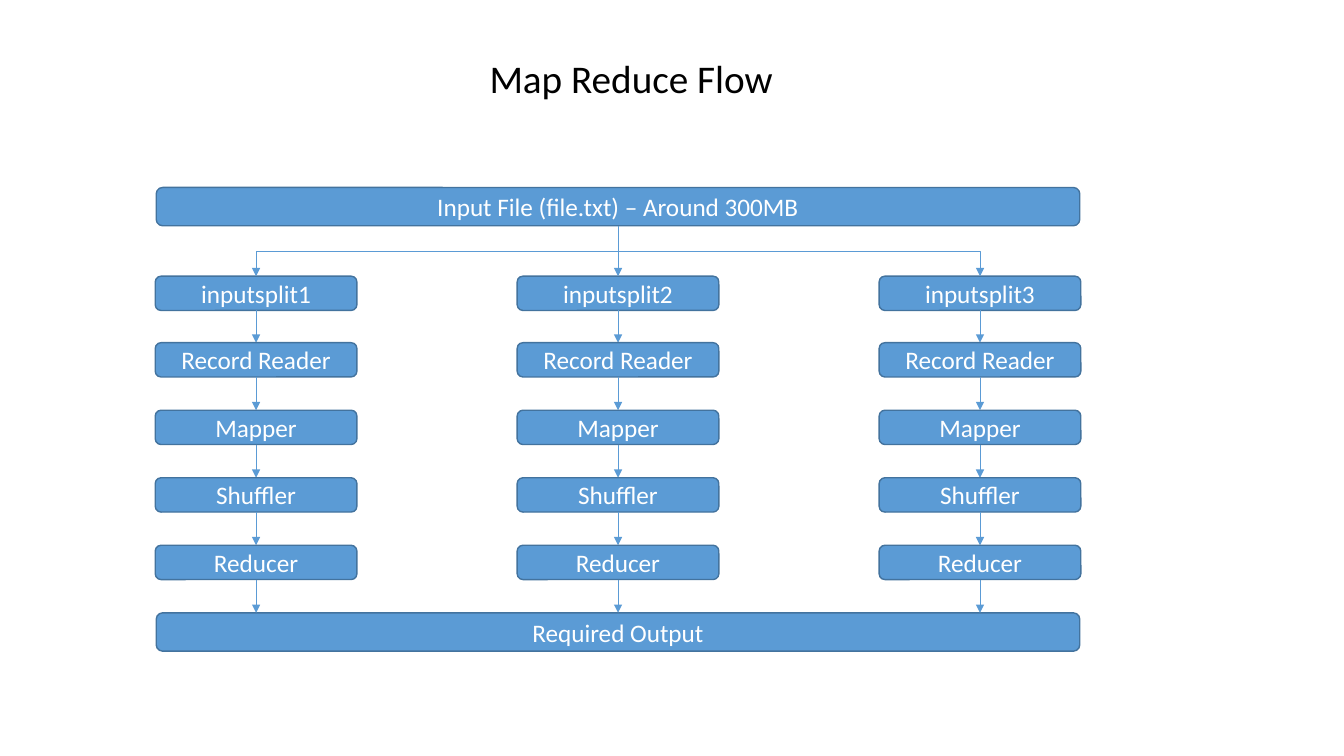
"""Build the Map Reduce flow slide."""
import pptx
import pptx.dml.color
import pptx.enum.shapes
import pptx.enum.text
import pptx.oxml
import pptx.oxml.ns
import pptx.util

PX = 9144
BLUE, EDGE, WHITE, BLACK = "5B9BD5", "43739E", "FFFFFF", "000000"
LEFT, STEP, WIDE, HIGH = 154, 359, 200, 34
ROWS = (274, 340, 407, 474, 541)
STAGES = ("inputsplit{}", "Record Reader", "Mapper", "Shuffler", "Reducer")
BAR_LEFT, BAR_WIDE, BAR_HIGH = 155, 916, 38
INPUT_TOP, OUTPUT_TOP = 186, 608
KINDS = pptx.enum.shapes.MSO_CONNECTOR


def color(code):
    """Turn a hex string into a colour."""
    return pptx.dml.color.RGBColor.from_string(code)


def scale(*sizes):
    """Turn px lengths into EMU."""
    return [round(size * PX) for size in sizes]


def write(shape, words, size, code, anchor):
    """Put centred text into a shape."""
    frame = shape.text_frame
    frame.text = words
    frame.word_wrap = True
    frame.vertical_anchor = anchor
    line = frame.paragraphs[0]
    line.alignment = pptx.enum.text.PP_ALIGN.CENTER
    font = line.runs[0].font
    font.name = "Calibri"
    font.size = pptx.util.Pt(size)
    font.color.rgb = color(code)
    return line


def title(slide, words):
    """Add the slide title."""
    shape = slide.shapes.add_textbox(*scale(126, 56, 1000, 50))
    anchor = pptx.enum.text.MSO_ANCHOR.BOTTOM
    write(shape, words, 28, BLACK, anchor).line_spacing = 0.9


def box(slide, words, left, top, wide, high):
    """Add a rounded box with a label."""
    kind = pptx.enum.shapes.MSO_SHAPE.ROUNDED_RECTANGLE
    shape = slide.shapes.add_shape(kind, *scale(left, top, wide, high))
    shape.shadow.inherit = False
    shape.fill.solid()
    shape.fill.fore_color.rgb = color(BLUE)
    shape.line.color.rgb = color(EDGE)
    shape.line.width = pptx.util.Pt(1)
    write(shape, words, 18, WHITE, pptx.enum.text.MSO_ANCHOR.MIDDLE)


def arrow(slide, kind, *ends):
    """Add a thin connector with an arrowhead at its end."""
    link = slide.shapes.add_connector(kind, *scale(*ends))
    link.line.color.rgb = color(BLUE)
    link.line.width = pptx.util.Pt(0.5)
    make = pptx.oxml.ns.qn
    tail = link.line._get_or_add_ln().makeelement(make("a:tailEnd"), {"type": "triangle"})
    link.line._get_or_add_ln().append(tail)
    props = link._element.spPr
    props.append(props.makeelement(make("a:effectLst"), {}))
    return link


def elbow(slide, x1, y1, x2, y2):
    """Add an arrow that goes down, across and down."""
    side = 1 if x2 > x1 else -1
    midx, midy = (x1 + x2) / 2, (y1 + y2) / 2
    dx, dy = side * (y2 - y1) / 2, abs(x2 - x1) / 2
    link = arrow(slide, KINDS.ELBOW, midx + dx, midy - dy, midx - dx, midy + dy)
    turn = 270 if side > 0 else 90
    link._element.spPr.xfrm.set("rot", str(turn * 60000))


def column(slide, index):
    """Add one column of stages with the arrows below them."""
    left = LEFT + index * STEP
    mid = left + WIDE // 2
    for stage, top, below in zip(STAGES, ROWS, ROWS[1:] + (OUTPUT_TOP,)):
        box(slide, stage.format(index + 1), left, top, WIDE, HIGH)
        arrow(slide, KINDS.STRAIGHT, mid, top + HIGH, mid, below)


def main():
    """Build and save the slide."""
    deck = pptx.Presentation()
    deck.slide_width, deck.slide_height = scale(1333, 750)
    slide = deck.slides.add_slide(deck.slide_layouts[6])
    title(slide, "Map Reduce Flow")
    box(slide, "Input File (file.txt) – Around 300MB",
        BAR_LEFT, INPUT_TOP, BAR_WIDE, BAR_HIGH)
    box(slide, "Required Output", BAR_LEFT, OUTPUT_TOP, BAR_WIDE, BAR_HIGH)
    for index in range(3):
        column(slide, index)
    mid, foot = BAR_LEFT + BAR_WIDE // 2, INPUT_TOP + BAR_HIGH
    first = LEFT + WIDE // 2
    arrow(slide, KINDS.STRAIGHT, mid, foot, mid, ROWS[0])
    for goal in (first, first + 2 * STEP):
        elbow(slide, mid, foot, goal, ROWS[0])
    deck.save("out.pptx")


if __name__ == "__main__":
    main()
